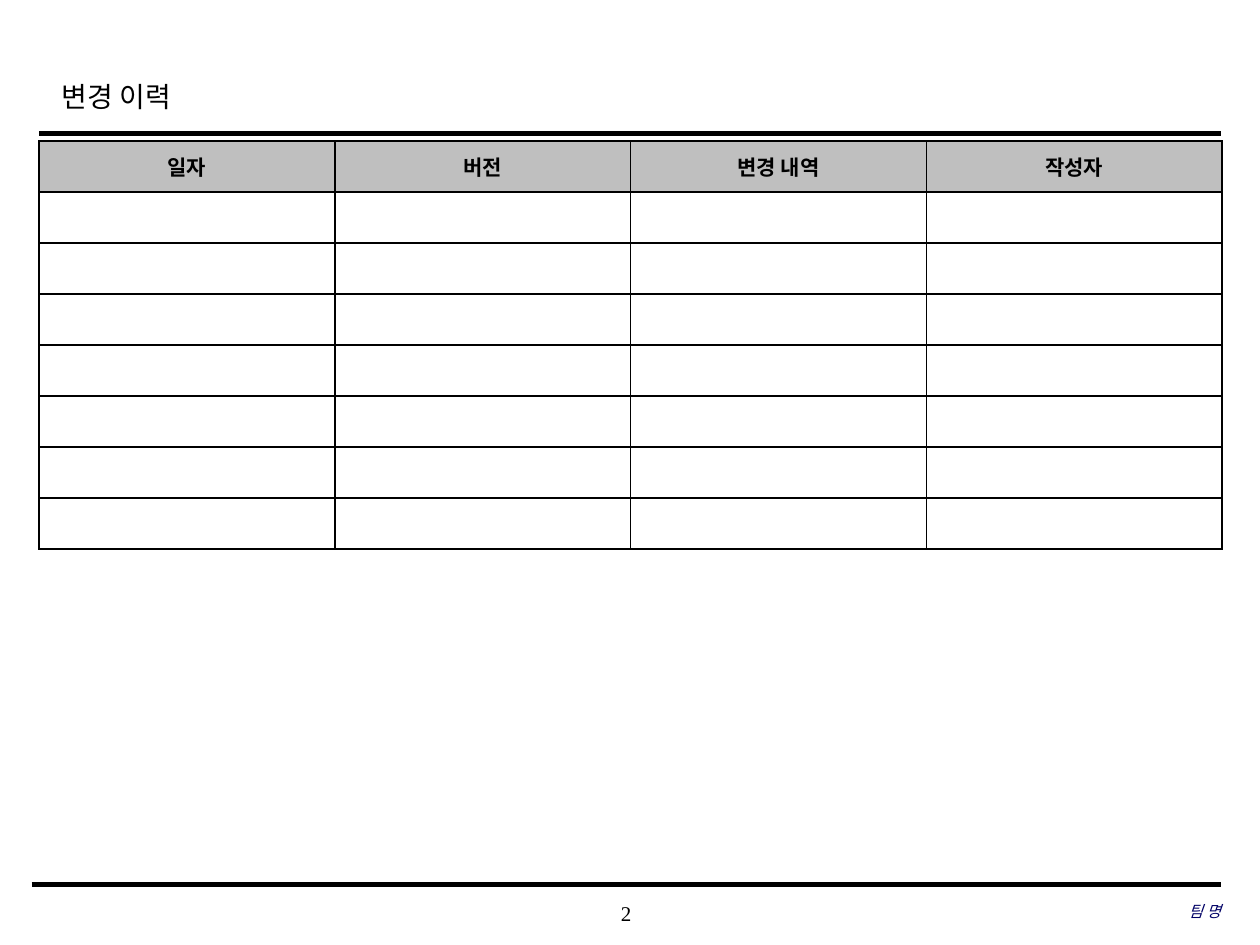
from lxml.etree import SubElement
from pptx import Presentation
from pptx.dml.color import RGBColor
from pptx.enum.shapes import MSO_CONNECTOR
from pptx.enum.text import MSO_ANCHOR, PP_ALIGN
from pptx.oxml.ns import qn
from pptx.util import Inches, Pt

SERIF = "Times New Roman"
SANS = "Noto Sans CJK KR"
BLACK = "000000"
HEADS = ["일자", "버전", "변경 내역", "작성자"]
ROWS = 8
LEFT, RIGHT = 0.31, 9.69


def paint(color, code):
    """Set a colour format from a hex string."""
    color.rgb = RGBColor.from_string(code)


def add_run(para, text, size, face, code=BLACK, bold=False, italic=False):
    """Add one formatted run with a Korean face."""
    run = para.add_run()
    run.text = text
    font = run.font
    font.size, font.name = Pt(size), face
    font.bold, font.italic = bold, italic
    paint(font.color, code)
    SubElement(font._element, qn("a:ea"), typeface=SANS)


def add_title(slide, text):
    """Place and fill the title placeholder."""
    title = slide.shapes.title
    title.left, title.top = Inches(0.39), Inches(0.49)
    title.width, title.height = Inches(7.55), Inches(0.5)
    title.text_frame.vertical_anchor = MSO_ANCHOR.MIDDLE
    para = title.text_frame.paragraphs[0]
    para.alignment, para.line_spacing = PP_ALIGN.LEFT, 1.2
    add_run(para, text, 16, SERIF)


def add_rule(slide, left, top, width):
    """Draw a horizontal rule to the right margin."""
    rule = slide.shapes.add_connector(
        MSO_CONNECTOR.STRAIGHT,
        Inches(left), Inches(top), Inches(RIGHT), Inches(top))
    rule.line.width = Pt(width)
    paint(rule.line.color, BLACK)
    SubElement(rule._element.spPr, qn("a:effectLst"))


def add_note(slide, text, left, top, width, align, size, **style):
    """Add a footer text box without insets."""
    box = slide.shapes.add_textbox(
        Inches(left), Inches(top), Inches(width), Inches(0.33))
    frame = box.text_frame
    frame.word_wrap = True
    frame.vertical_anchor = MSO_ANCHOR.MIDDLE
    frame.margin_left = frame.margin_right = 0
    frame.margin_top = frame.margin_bottom = 0
    para = frame.paragraphs[0]
    para.alignment = align
    add_run(para, text, size, SERIF, **style)


def style_cell(cell, code):
    """Give a cell black borders and a solid fill."""
    props = cell._tc.get_or_add_tcPr()
    for side in ("lnL", "lnR", "lnT", "lnB"):
        line = SubElement(props, qn(f"a:{side}"), w=str(Pt(1)))
        fill = SubElement(line, qn("a:solidFill"))
        SubElement(fill, qn("a:srgbClr"), val=BLACK)
    cell.fill.solid()
    paint(cell.fill.fore_color, code)
    cell.vertical_anchor = MSO_ANCHOR.MIDDLE


def add_grid(slide):
    """Build the history table with a header and empty rows."""
    cols = len(HEADS)
    grid = slide.shapes.add_table(
        ROWS, cols, Inches(LEFT), Inches(1.12),
        Inches(9.39), Inches(3.24)).table
    for row in range(ROWS):
        for col in range(cols):
            style_cell(grid.cell(row, col), "FFFFFF" if row else "BFBFBF")
    for col, head in enumerate(HEADS):
        para = grid.cell(0, col).text_frame.paragraphs[0]
        para.alignment = PP_ALIGN.CENTER
        add_run(para, head, 12, SANS, bold=True)


def main():
    """Build and save the slide."""
    deck = Presentation()
    deck.slide_width, deck.slide_height = Inches(10), Inches(7.5)
    slide = deck.slides.add_slide(deck.slide_layouts[5])
    add_note(slide, "2", 3.93, 7.08, 2.08, PP_ALIGN.CENTER, 12)
    add_rule(slide, LEFT, 1.06, 2.5)
    add_rule(slide, 0.25, 7.02, 3)
    add_title(slide, "변경 이력")
    add_note(slide, "팀 명", 6.63, 7.07, 3.06, PP_ALIGN.RIGHT, 9,
             code="000066", italic=True)
    add_grid(slide)
    deck.save("out.pptx")


main()
